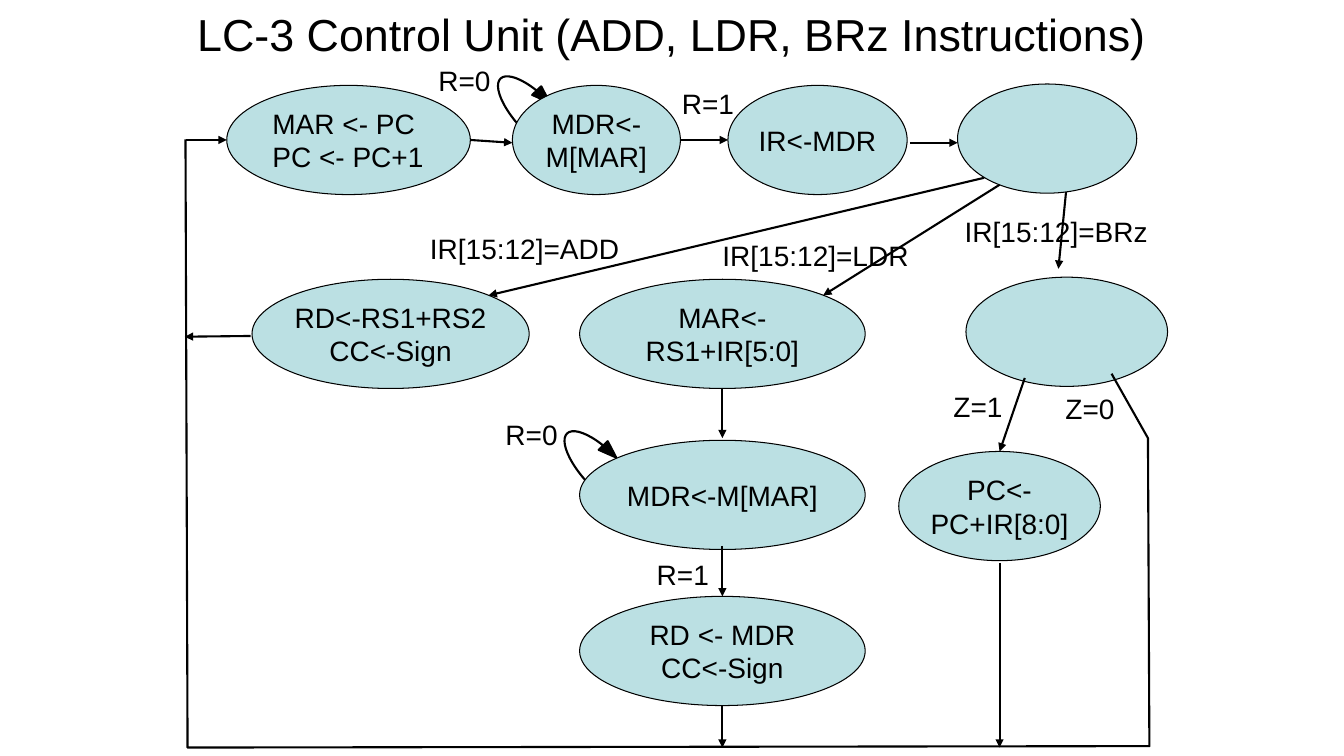
"""Build the LC-3 control unit state diagram slide."""
from dataclasses import dataclass

from lxml.etree import SubElement
from pptx import Presentation
from pptx.dml.color import RGBColor
from pptx.enum.shapes import MSO_CONNECTOR, MSO_SHAPE
from pptx.enum.text import MSO_ANCHOR, MSO_AUTO_SIZE, PP_ALIGN
from pptx.oxml.ns import qn
from pptx.shapes.autoshape import Shape
from pptx.slide import Slide
from pptx.util import Pt

BLACK, STATE_FILL = "000000", "BBE0E3"
STATE_HEIGHT, LABEL_HEIGHT = 78, 31.5
LOOP_WIDTH, LOOP_HEIGHT = 36.7, 31.7


@dataclass
class State:
    left: float
    top: float
    width: float
    text: str = ""
    centred: bool = True


@dataclass
class Label:
    left: float
    top: float
    width: float
    text: str


@dataclass
class Arrow:
    start_x: float
    start_y: float
    end_x: float
    end_y: float


STATES = [
    State(162, 61, 174, "MAR <- PC\nPC <- PC+1", centred=False),
    State(366, 61, 120, "MDR<-M[MAR]"),
    State(520, 61, 128, "IR<-MDR"),
    State(180, 199.5, 198, "RD<-RS1+RS2\nCC<-Sign"),
    State(414, 199.5, 204, "MAR<-RS1+IR[5:0]"),
    State(414, 314.5, 204, "MDR<-M[MAR]"),
    State(414, 426, 204, "RD <- MDR\nCC<-Sign"),
    State(690, 198, 144),
    State(642, 322.5, 144, "PC<-PC+IR[8:0]"),
]
DECODE_STATE = State(684, 60, 128)

ARROWS = [
    Arrow(336, 100, 366, 102),
    Arrow(486, 100, 520, 100),
    Arrow(650, 102, 684, 102),
    Arrow(703, 127, 349, 211),
    Arrow(714, 132, 588, 211),
    Arrow(762, 132, 756, 192),
    Arrow(516, 277, 516, 313),
    Arrow(516, 390, 516, 426),
    Arrow(516, 504, 516, 534),
    Arrow(732, 270, 714, 322.5),
    Arrow(714, 402, 714, 534),
    Arrow(133, 100, 162, 100),
    Arrow(179, 240, 132, 240.5),
]

LABELS = [
    Label(306, 42, 52, "R=0"),
    Label(480, 58.5, 52, "R=1"),
    Label(354, 295, 52, "R=0"),
    Label(462, 394.5, 52, "R=1"),
    Label(300, 162, 151, "IR[15:12]=ADD"),
    Label(509, 166.5, 149, "IR[15:12]=LDR"),
    Label(682, 150, 146, "IR[15:12]=BRz"),
    Label(674, 274.5, 50, "Z=1"),
    Label(754, 276, 50, "Z=0"),
]

WAIT_LOOPS = [(353.5, 52), (401, 305.5)]
RETURN_PATH = [(794, 267), (820, 313), (821, 533), (134, 534), (132.5, 99.5)]


def colour(value: str) -> RGBColor:
    return RGBColor.from_string(value)


def write(box: Shape, text: str, size: float, alignment: PP_ALIGN) -> None:
    box.text_frame.text = text
    for para in box.text_frame.paragraphs:
        para.alignment = alignment
        for span in para.runs:
            span.font.size = Pt(size)
            span.font.name = "Arial"
            span.font.color.rgb = colour(BLACK)


def outline(shape: Shape, width: float) -> None:
    shape.shadow.inherit = False
    shape.line.color.rgb = colour(BLACK)
    shape.line.width = Pt(width)


def add_title(page: Slide, text: str) -> None:
    box = page.shapes.add_textbox(Pt(120), Pt(-6), Pt(720), Pt(60))
    box.text_frame.word_wrap = True
    box.text_frame.vertical_anchor = MSO_ANCHOR.MIDDLE
    write(box, text, 32, PP_ALIGN.CENTER)


def add_state(page: Slide, state: State) -> None:
    ellipse = page.shapes.add_shape(
        MSO_SHAPE.OVAL, Pt(state.left), Pt(state.top), Pt(state.width), Pt(STATE_HEIGHT))
    ellipse.fill.solid()
    ellipse.fill.fore_color.rgb = colour(STATE_FILL)
    outline(ellipse, 0.75)
    if not state.text:
        return
    frame = ellipse.text_frame
    frame.word_wrap = True
    frame.vertical_anchor = MSO_ANCHOR.MIDDLE if state.centred else MSO_ANCHOR.TOP
    if state.centred:
        frame.margin_left = frame.margin_right = Pt(0)
    write(ellipse, state.text, 20, PP_ALIGN.CENTER if state.centred else PP_ALIGN.LEFT)


def add_wait_loop(page: Slide, left: float, top: float) -> None:
    loop = page.shapes.add_shape(
        MSO_SHAPE.CURVED_LEFT_ARROW, Pt(left), Pt(top), Pt(LOOP_WIDTH), Pt(LOOP_HEIGHT))
    for index, value in enumerate((0, 0.282, 0.4)):
        loop.adjustments[index] = value
    loop.rotation = 226.5
    loop.fill.solid()
    loop.fill.fore_color.rgb = colour(BLACK)
    outline(loop, 1.5)


def add_arrow(page: Slide, arrow: Arrow) -> None:
    connector = page.shapes.add_connector(
        MSO_CONNECTOR.STRAIGHT, Pt(arrow.start_x), Pt(arrow.start_y),
        Pt(arrow.end_x), Pt(arrow.end_y))
    connector.line.color.rgb = colour(BLACK)
    connector.line.width = Pt(1.5)
    properties = connector.element.spPr
    SubElement(properties.find(qn("a:ln")), qn("a:tailEnd"), type="triangle")
    SubElement(properties, qn("a:effectLst"))


def add_label(page: Slide, label: Label) -> None:
    box = page.shapes.add_textbox(
        Pt(label.left), Pt(label.top), Pt(label.width), Pt(LABEL_HEIGHT))
    box.text_frame.word_wrap = False
    box.text_frame.auto_size = MSO_AUTO_SIZE.SHAPE_TO_FIT_TEXT
    write(box, label.text, 20, PP_ALIGN.LEFT)


def add_return_path(page: Slide) -> None:
    start, *corners = [(Pt(x), Pt(y)) for x, y in RETURN_PATH]
    builder = page.shapes.build_freeform(*start)
    builder.add_line_segments(corners, close=False)
    path = builder.convert_to_shape()
    path.fill.background()
    outline(path, 1.5)


def main() -> None:
    deck = Presentation()
    deck.slide_width, deck.slide_height = Pt(960), Pt(540)
    page = deck.slides.add_slide(deck.slide_layouts[6])
    add_title(page, "LC-3 Control Unit (ADD, LDR, BRz Instructions)")
    for left, top in WAIT_LOOPS:
        add_wait_loop(page, left, top)
    for state in STATES:
        add_state(page, state)
    for arrow in ARROWS:
        add_arrow(page, arrow)
    add_return_path(page)
    for label in LABELS:
        add_label(page, label)
    add_state(page, DECODE_STATE)
    deck.save("out.pptx")


if __name__ == "__main__":
    main()
